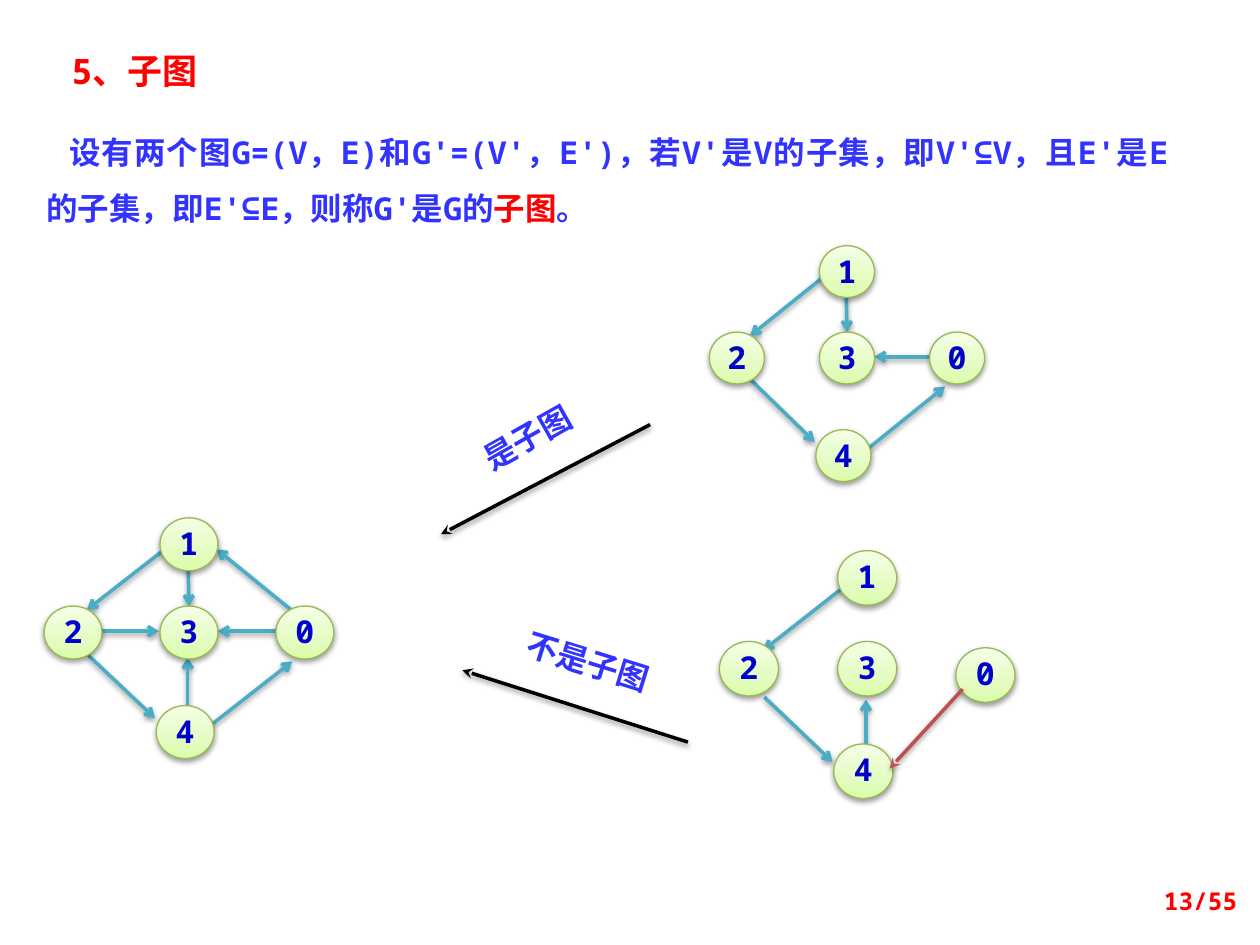
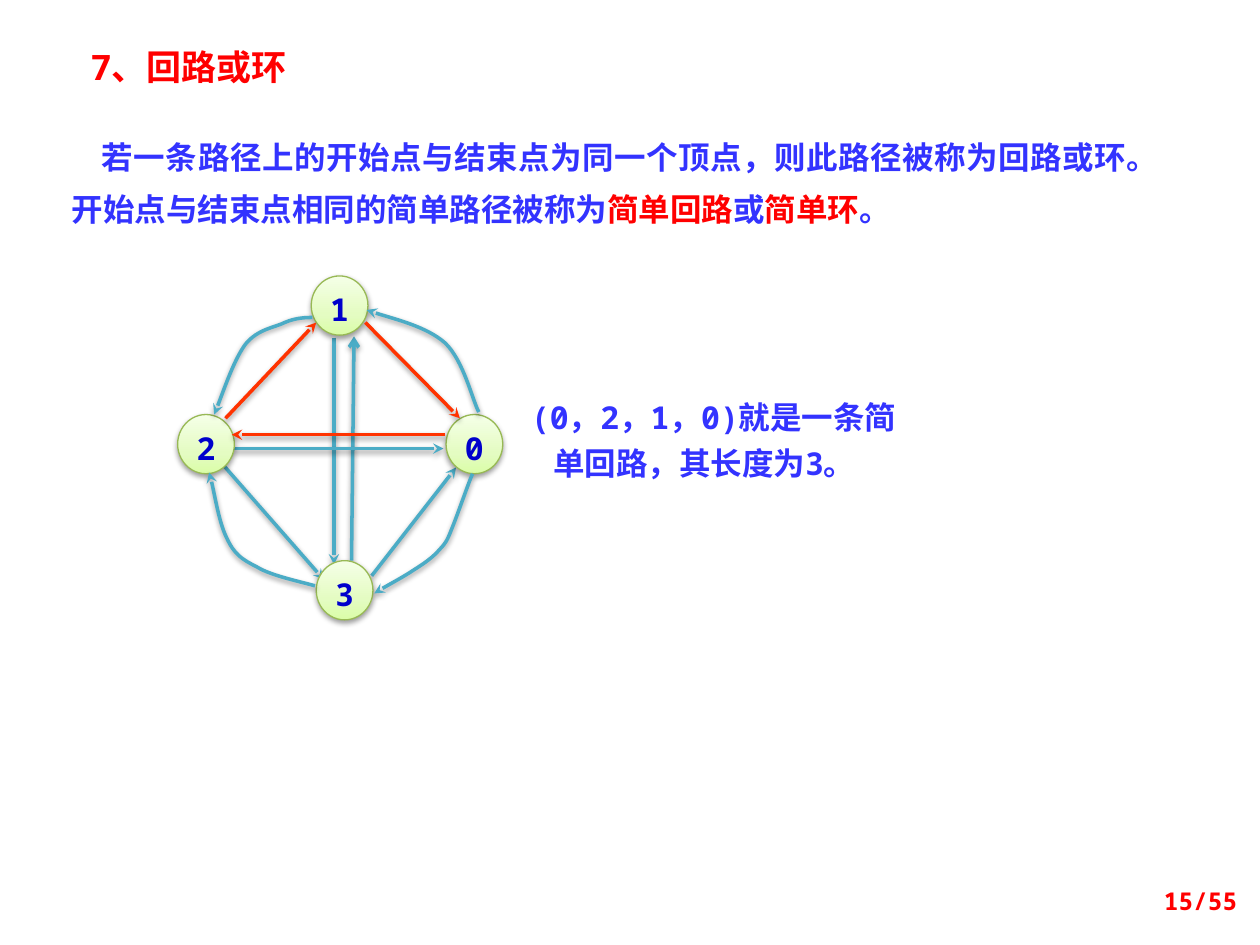
from lxml.etree import SubElement
from pptx import Presentation
from pptx.dml.color import RGBColor
from pptx.enum.shapes import MSO_CONNECTOR as Link, MSO_SHAPE as Shape
from pptx.enum.text import MSO_ANCHOR as Anchor, PP_ALIGN as Align
from pptx.oxml.ns import qn
from pptx.util import Inches, Pt

WIDE, HIGH = 10, 7.5
RED, BLUE, NAVY, TEAL = "FF0000", "3333FF", "0000CC", "4BACC6"
BRICK, FLAME, BLACK, RIM = "C0504D", "FF3300", "000000", "98B955"
GLOW = [(0, "DAFDA7"), (35, "E4FCC2"), (100, "F5FFE7")]
MONO, HAN, HAN_JP = "Noto Sans Mono", "Noto Sans CJK SC", "Noto Sans CJK JP"
PAGES = 55

# Marked words are (text, colour, font); plain strings take the box's format.
SUB_TEXT = ["设有两个图G=(V，E)和G'=(V'，E')，若V'是V的子集，即V'⊆V，且"
            "E'是E的子集，即E'⊆E，则称G'是G的", ("子图", RED, HAN_JP), "。"]
RING_TEXT = ["若一条路径上的开始点与结束点为同一个顶点，则此路径被称为回路或环。"
             "开始点与结束点相同的简单路径被称为",
             ("简单回路", RED, HAN_JP), "或", ("简单环", RED, HAN_JP), "。"]
RING_NOTE = ["(0，2，1，0)就是一条简单回路，其长度为3。"]

# Five-vertex graph, in inches from its own corner
SPOTS = {"1": (0.92, 0), "3": (0.92, 0.7), "0": (1.84, 0.7),
         "2": (0, 0.7), "4": (0.89, 1.49)}
NODE = (0.46, 0.42)
EDGES = {"1-3": (1.14, 0.23, 1.15, 0.7), "4-3": (1.14, 1.53, 1.14, 1.11),
         "0-3": (1.84, 0.9, 1.38, 0.9), "2-3": (0.45, 0.9, 0.91, 0.9),
         "2-4": (0.35, 1.09, 0.88, 1.59), "4-0": (1.33, 1.64, 1.97, 1.14),
         "0-1": (1.96, 0.73, 1.37, 0.25), "1-2": (0.97, 0.24, 0.34, 0.73)}
# corner, scale, drop of the edges, drop of single nodes, edges
GRAPHS = [
    ((0.35, 4.11), (1, 1), 0, {}, list(EDGES)),
    ((5.63, 1.95), (0.95, 0.98), 0, {}, ["1-3", "0-3", "2-4", "4-0", "1-2"]),
    ((5.71, 4.37), (1.02, 1.03), 0.04, {"0": 0.05}, ["4-3", "2-4", "1-2"]),
]
WRONG = (7.64, 5.47, 7.06, 6.1)
# arrow, label, label box, turn
CLAIMS = [
    ((5.16, 3.37, 3.5, 4.24), "是子图", (3.36, 3.32, 1.65, 0.3), 330.4),
    ((5.46, 5.89, 3.67, 5.32), "不是子图", (3.99, 5.1, 1.35, 0.31), 17.2),
]

RING_NODE = (0.45, 0.47)
RING = {"1": (2.47, 2.19), "0": (3.54, 3.29), "2": (1.41, 3.29), "3": (2.51, 4.45)}
RING_EDGES = [
    ((2.65, 2.68, 2.65, 4.48), "stealth"), ((2.79, 4.45, 2.81, 2.67), "arrow"),
    ((1.85, 3.56, 3.52, 3.56), "stealth"), ((1.78, 3.7, 2.57, 4.6), "stealth"),
    ((2.95, 4.57, 3.62, 3.71), "stealth"),
]
LOOP = [(3.53, 3.45, 1.84, 3.45), (1.79, 3.32, 2.51, 2.56), (2.9, 2.56, 3.65, 3.32)]
# Start point, then three points for each cubic piece
BENDS = [
    [(3.75, 3.76), (3.72, 3.83), (3.64, 4.06), (3.6, 4.16), (3.56, 4.26),
     (3.55, 4.3), (3.49, 4.36), (3.44, 4.42), (3.37, 4.47), (3.29, 4.52),
     (3.2, 4.58), (3.03, 4.67), (2.97, 4.71)],
    [(2.48, 2.52), (2.44, 2.52), (2.35, 2.52), (2.26, 2.56), (2.18, 2.6),
     (2.05, 2.61), (1.95, 2.73), (1.86, 2.85), (1.75, 3.17), (1.7, 3.29)],
    [(2.5, 4.65), (2.4, 4.62), (2.15, 4.57), (2.04, 4.5), (1.92, 4.44),
     (1.86, 4.4), (1.8, 4.27), (1.74, 4.15), (1.69, 3.84), (1.66, 3.75)],
    [(3.8, 3.27), (3.75, 3.18), (3.68, 2.86), (3.53, 2.72), (3.38, 2.59),
     (3.04, 2.51), (2.91, 2.46)],
]


def rgb(code):
    return RGBColor.from_string(code)


def inch(*nums):
    return [Inches(n) for n in nums]


def write(frame, parts, size=18, color=BLUE, font=MONO, bold=True,
          align=Align.LEFT, line=None, indent=0, inset=None, anchor=Anchor.TOP):
    frame.word_wrap = True
    frame.vertical_anchor = anchor
    if inset:
        (frame.margin_left, frame.margin_top,
         frame.margin_right, frame.margin_bottom) = inch(*inset)
    para = frame.paragraphs[0]
    para.alignment = align
    if line:
        para.line_spacing = line
    if indent:
        para._p.get_or_add_pPr().set("indent", str(Inches(indent)))
    for part in parts:
        text, tint, face = (part, color, font) if isinstance(part, str) else part
        run = para.add_run()
        run.text = text
        run.font.size, run.font.bold, run.font.name = Pt(size), bold, face
        run.font.color.rgb = rgb(tint)
        east = HAN if face == MONO else face
        SubElement(run._r.get_or_add_rPr(), qn("a:ea"), typeface=east)


def label(slide, box, parts, turn=0, **form):
    item = slide.shapes.add_textbox(*inch(*box))
    item.rotation = turn
    write(item.text_frame, parts, **form)


def shade(item):
    """Give a soft shadow straight below; call it after the line is set."""
    fx = SubElement(item._element.spPr, qn("a:effectLst"))
    drop = SubElement(fx, qn("a:outerShdw"), blurRad="40000", dist="20000",
                      dir="5400000", rotWithShape="0")
    tint = SubElement(drop, qn("a:srgbClr"), val=BLACK)
    SubElement(tint, qn("a:alpha"), val="38000")


def point(item, color, head):
    """Style a line or curve and put an arrowhead at its end."""
    item.line.color.rgb = rgb(color)
    item.line.width = Pt(2)
    SubElement(item.line._get_or_add_ln(), qn("a:tailEnd"), type=head)
    shade(item)


def arrow(slide, ends, color=TEAL, head="arrow"):
    point(slide.shapes.add_connector(Link.STRAIGHT, *inch(*ends)), color, head)


def bend(slide, spots, color=TEAL, head="stealth"):
    start, *rest = [inch(*spot) for spot in spots]
    maker = slide.shapes.build_freeform(*start)
    maker.add_line_segments(rest, close=False)
    item = maker.convert_to_shape()
    item.fill.background()
    way = item._element.find(".//" + qn("a:path"))
    steps = way.findall(qn("a:lnTo"))
    for i in range(0, len(steps), 3):
        cubic = SubElement(way, qn("a:cubicBezTo"))
        for step in steps[i:i + 3]:
            cubic.append(step[0])
            way.remove(step)
    point(item, color, head)


def node(slide, name, spot, size, line):
    item = slide.shapes.add_shape(Shape.OVAL, *inch(*spot, *size))
    item.fill.gradient()
    item.fill.gradient_angle = 90
    stops = item._element.spPr.find(".//" + qn("a:gsLst"))
    for old in list(stops):
        stops.remove(old)
    for pos, code in GLOW:
        stop = SubElement(stops, qn("a:gs"), pos=str(pos * 1000))
        SubElement(stop, qn("a:srgbClr"), val=code)
    item.line.color.rgb = rgb(RIM)
    item.line.width = Pt(0.75)
    shade(item)
    write(item.text_frame, [name], color=NAVY, align=Align.CENTER,
          line=line, inset=(0, 0.12, 0, 0))


def graph(slide, corner, scale, sink, drops, names):
    (left, top), (sx, sy) = corner, scale
    for name in names:
        x1, y1, x2, y2 = EDGES[name]
        arrow(slide, (left + x1 * sx, top + y1 * sy + sink,
                      left + x2 * sx, top + y2 * sy + sink))
    for name, (x, y) in SPOTS.items():
        spot = left + x * sx, top + y * sy + drops.get(name, 0)
        node(slide, name, spot, (NODE[0] * sx, NODE[1] * sy), Pt(12))


def page(deck, title, box, num):
    slide = deck.slides.add_slide(deck.slide_layouts[6])
    label(slide, box, [title], size=20, color=RED)
    label(slide, (7.59, 6.95, 2.33, 0.4), [f"{num}/{PAGES}"], size=14,
          color=RED, align=Align.RIGHT, anchor=Anchor.MIDDLE)
    return slide


def subgraph(deck):
    slide = page(deck, "5、子图", (0.47, 0.34, 1.48, 0.44), 13)
    label(slide, (0.27, 0.86, 9.1, 1), SUB_TEXT, align=Align.JUSTIFY,
          line=Pt(32), indent=0.18)
    for spec in GRAPHS:
        graph(slide, *spec)
    arrow(slide, WRONG, BRICK, "stealth")
    for ends, text, box, turn in CLAIMS:
        arrow(slide, ends, BLACK, "stealth")
        label(slide, box, [text], turn, font=HAN, align=Align.CENTER,
              inset=(0, 0, 0, 0))


def circuit(deck):
    slide = page(deck, "7、回路或环", (0.62, 0.31, 3.28, 0.44), 15)
    label(slide, (0.47, 0.93, 8.83, 0.94), RING_TEXT, align=Align.JUSTIFY,
          line=Pt(30), indent=0.24)
    for ends, head in RING_EDGES:
        arrow(slide, ends, head=head)
    for name, spot in RING.items():
        node(slide, name, spot, RING_NODE, 0.72)
    for spots in BENDS:
        bend(slide, spots)
    for ends in LOOP:
        arrow(slide, ends, FLAME, "stealth")
    label(slide, (3.91, 3.05, 3.36, 0.8), RING_NOTE, align=Align.CENTER,
          line=Pt(26), indent=0.15)


def main():
    deck = Presentation()
    deck.slide_width, deck.slide_height = inch(WIDE, HIGH)
    subgraph(deck)
    circuit(deck)
    deck.save("out.pptx")


if __name__ == "__main__":
    main()
